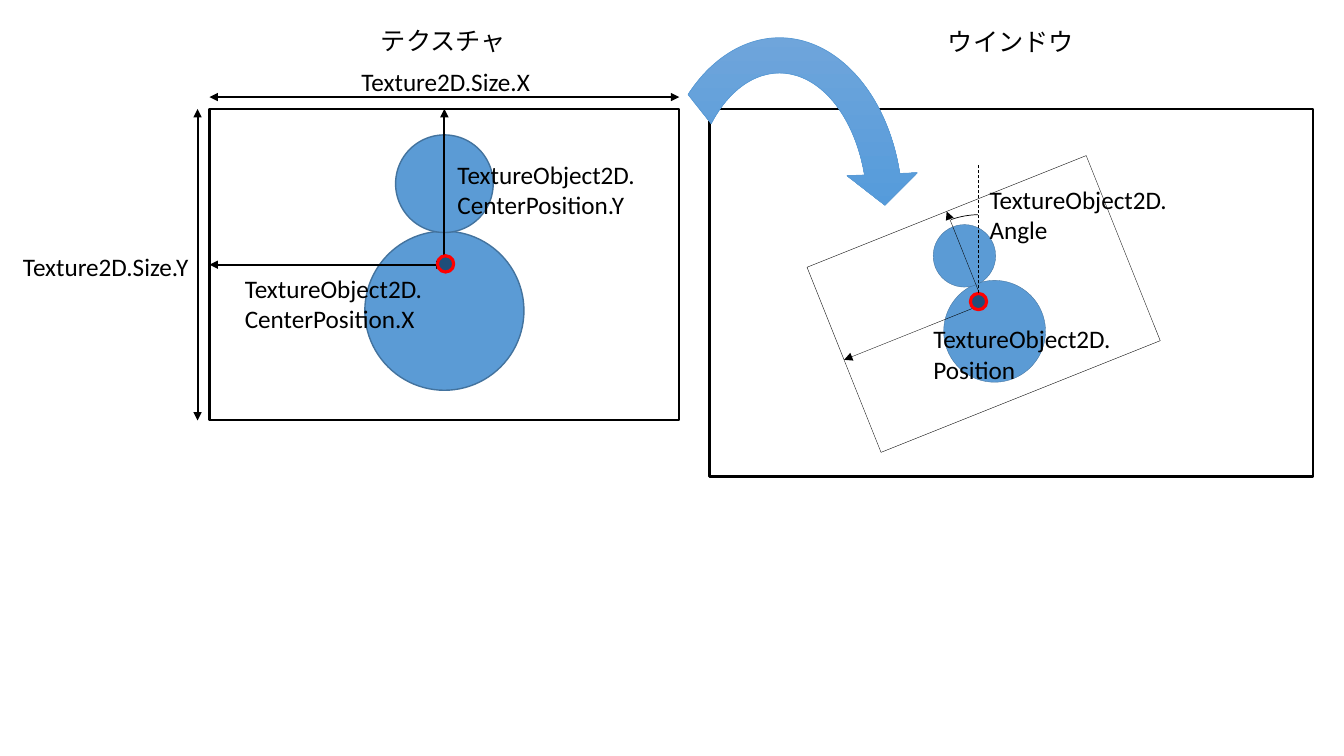
"""Build a slide on how a texture's size, centre, position and angle place it in a window."""
from copy import deepcopy
from math import cos, radians, sin

from lxml.etree import SubElement
from pptx import Presentation
from pptx.dml.color import RGBColor
from pptx.enum.dml import MSO_LINE
from pptx.enum.shapes import MSO_CONNECTOR, MSO_SHAPE as SHAPE
from pptx.enum.text import PP_ALIGN
from pptx.oxml.ns import qn
from pptx.util import Cm, Pt

BLACK = RGBColor(0x00, 0x00, 0x00)
RED = RGBColor(0xFF, 0x00, 0x00)
BLUE = RGBColor(0x5B, 0x9B, 0xD5)
BLUE_EDGE = RGBColor(0x43, 0x73, 0x9E)
NAVY = RGBColor(0x1F, 0x4E, 0x79)
ARROW_STOPS = [RGBColor(0x71, 0xA6, 0xDB), RGBColor(0x55, 0x9B, 0xDB), RGBColor(0x44, 0x8A, 0xCA)]

LATIN, JAPANESE = "Calibri", "Noto Sans CJK JP"
TITLES = [("テクスチャ", 8.71, 0.51, 4.93), ("ウインドウ", 23.01, 0.53, 4.93)]
LABELS = [
    ("Texture2D.Size.X", 8.86, 1.55, 4.93),
    ("Texture2D.Size.Y", 0.33, 6.2, 4.95),
    ("TextureObject2D.CenterPosition.X", 5.92, 6.76, 5.05),
    ("TextureObject2D.CenterPosition.Y", 11.28, 3.89, 5.05),
    ("TextureObject2D. Position", 23.27, 8.03, 5.05),
    ("TextureObject2D. Angle", 24.69, 4.52, 5.05),
]

TEXTURE_SIZE = (11.84, 7.85)
TEXTURE_CENTER = (11.2, 6.67)
PLACED_CENTER = (24.79, 7.66)
PLACED_SCALE, PLACED_ANGLE = 0.64, -21.8
CIRCLES = [(4.01, 1.16), (2.46, -2.04)]
PIVOTS = [(11.23, 6.65), (24.66, 7.6)]
PIVOT_SIZE = 0.41
WINDOW = (17.88, 2.74, 15.21, 9.27)
SIZE_GAP = 0.3

deck = Presentation()
deck.slide_width, deck.slide_height = Cm(33.87), Cm(19.05)
page = deck.slides.add_slide(deck.slide_layouts[6])


def add_shape(kind, left, top, width, height, line, weight, fill=None, angle=0):
    shape = page.shapes.add_shape(kind, Cm(left), Cm(top), Cm(width), Cm(height))
    shape.shadow.inherit = False
    shape.rotation = angle
    shape.line.color.rgb = line
    shape.line.width = Pt(weight)
    if fill is None:
        shape.fill.background()
    else:
        shape.fill.solid()
        shape.fill.fore_color.rgb = fill
    return shape


def add_centered(kind, center, width, height, *style):
    return add_shape(kind, center[0] - width / 2, center[1] - height / 2, width, height, *style)


def add_line(start, end, weight, arrows=True):
    line = page.shapes.add_connector(MSO_CONNECTOR.STRAIGHT, *map(Cm, (*start, *end)))
    line.line.color.rgb = BLACK
    line.line.width = Pt(weight)
    if arrows:
        outline = line.line._get_or_add_ln()
        for name in ("a:headEnd", "a:tailEnd"):
            SubElement(outline, qn(name), type="triangle")
    SubElement(line._element.spPr, qn("a:effectLst"))
    return line


def add_label(text, left, top, width, font, align):
    box = page.shapes.add_textbox(Cm(left), Cm(top), Cm(width), Cm(1.02))
    box.text_frame.word_wrap = True
    para = box.text_frame.paragraphs[0]
    para.alignment = align
    para.font.name, para.font.size = font, Pt(18)
    para.font.color.rgb = BLACK
    span = para.add_run()
    span.text = text
    SubElement(span._r.get_or_add_rPr(), qn("a:ea"), typeface=font)


def add_texture(center, scale, angle, edge_weight, frame_weight):
    turn = radians(angle)

    def place(x, y):
        return (center[0] + scale * (x * cos(turn) - y * sin(turn)),
                center[1] + scale * (x * sin(turn) + y * cos(turn)))

    for diameter, offset in CIRCLES:
        size = diameter * scale
        add_centered(SHAPE.OVAL, place(0, offset), size, size, BLUE_EDGE, edge_weight, BLUE, angle)
    width, height = TEXTURE_SIZE
    add_centered(SHAPE.RECTANGLE, center, width * scale, height * scale,
                 BLACK, frame_weight, None, angle)
    for edge in ((-width / 2, 0), (0, -height / 2)):
        add_line(place(*edge), center, frame_weight)


left, top = (c - size / 2 for c, size in zip(TEXTURE_CENTER, TEXTURE_SIZE))
right, bottom = left + TEXTURE_SIZE[0], top + TEXTURE_SIZE[1]
add_line((left, top - SIZE_GAP), (right, top - SIZE_GAP), 1.5)
add_line((left - SIZE_GAP, top), (left - SIZE_GAP, bottom), 1.5)
add_texture(TEXTURE_CENTER, 1, 0, 1, 1.5)
add_shape(SHAPE.RECTANGLE, *WINDOW, BLACK, 1.5)
add_texture(PLACED_CENTER, PLACED_SCALE, PLACED_ANGLE, 0.25, 0.25)
for pivot in PIVOTS:
    add_centered(SHAPE.OVAL, pivot, PIVOT_SIZE, PIVOT_SIZE, RED, 2.25, NAVY)

swoop = add_shape(SHAPE.CIRCULAR_ARROW, 16.1, 0.51, 7.09, 9.55, BLUE, 0.5)
for index, value in enumerate((0.125, 9.97, 204.58, 138.93, 0.125)):
    swoop.adjustments[index] = value
swoop.fill.gradient()
swoop.fill.gradient_angle = 270
stop_list = swoop._element.spPr.find(qn("a:gradFill")).find(qn("a:gsLst"))
stop_list.insert(1, deepcopy(stop_list[0]))
for index, (stop, color) in enumerate(zip(swoop.fill.gradient_stops, ARROW_STOPS)):
    stop.position = index / 2
    stop.color.rgb = color

upright = add_line((24.66, 7.39), (24.66, 4.17), 0.5, arrows=False)
upright.line.dash_style = MSO_LINE.DASH
arc = add_shape(SHAPE.ARC, 22.5, 5.41, 4.39, 4.39, BLACK, 0.5)
arc.adjustments[0], arc.adjustments[1] = 150.47, 161.26

for title in TITLES:
    add_label(*title, JAPANESE, PP_ALIGN.CENTER)
for label in LABELS:
    add_label(*label, LATIN, PP_ALIGN.LEFT)

deck.save("out.pptx")
